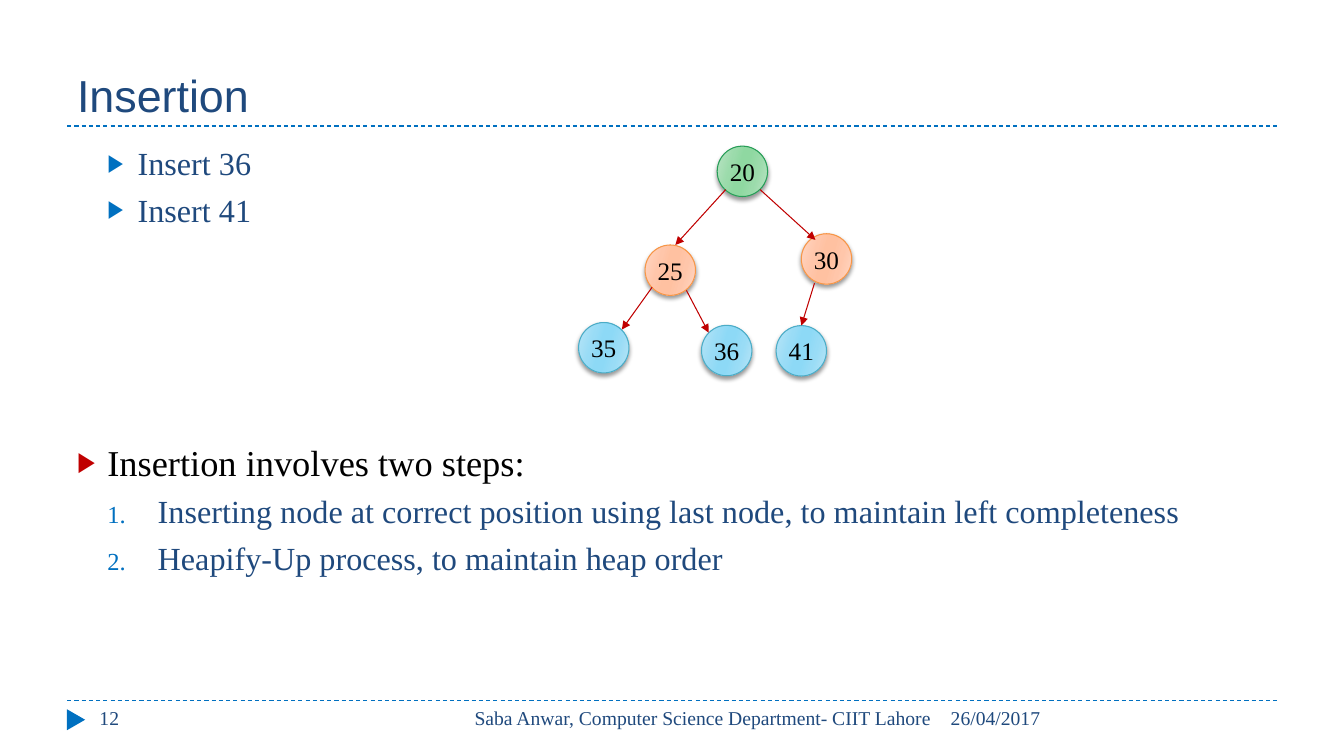
from lxml.etree import SubElement
from pptx import Presentation
from pptx.dml.color import RGBColor
from pptx.enum.dml import MSO_LINE
from pptx.enum.shapes import MSO_CONNECTOR, MSO_SHAPE
from pptx.enum.text import MSO_ANCHOR, PP_ALIGN
from pptx.oxml.ns import qn
from pptx.util import Pt

COLOURS = {"navy": "1F497D", "blue": "0070C0", "red": "C00000", "black": "000000"}
LEVEL_COLOURS = {
    "root": {"edge": "BBE4C5", "mid": "9BDBAB", "core": "8FD8A1", "line": "279D57"},
    "inner": {"edge": "FFD7C5", "mid": "FFC6AA", "core": "FFC1A1", "line": "F79646"},
    "leaf": {"edge": "B9E5F7", "mid": "99DCF6", "core": "8DD9F6", "line": "4BACC6"},
}
GRADIENT_STOPS = [(0, "edge"), (30, "mid"), (45, "core"),
                  (55, "core"), (73, "mid"), (100, "edge")]
SERIF, SANS = "Times New Roman", "Arial"
NODE_SIZE = 36
NODES = [
    ("35", 413.3, 230.4, "leaf"),
    ("30", 572.4, 167, "inner"),
    ("25", 460.8, 175, "inner"),
    ("20", 512.3, 104.4, "root"),
    ("41", 554.4, 232.6, "leaf"),
    ("36", 501.1, 232.4, "leaf"),
]
EDGES = [
    (518.4, 135.4, 482.4, 175),
    (542.9, 135.4, 582.5, 171.4),
    (465.8, 205.2, 444.2, 235.4),
    (581.8, 202.3, 572.4, 232.6),
    (490.3, 207.4, 506.2, 237.6),
]
INSERTS = ["Insert 36", "Insert 41"]
STEPS = [
    "Inserting node at correct position using last node, to maintain left completeness",
    "Heapify-Up process, to maintain heap order",
]


def rgb(name):
    """Return the named colour."""
    return RGBColor.from_string(COLOURS[name])


def style_text(paragraph, size, colour="navy", font=SERIF, align=PP_ALIGN.LEFT):
    """Set the alignment and the run fonts of a paragraph."""
    paragraph.alignment = align
    for run in paragraph.runs:
        run.font.size = Pt(size)
        run.font.name = font
        run.font.color.rgb = rgb(colour)


def add_box(slide, left, top, width, height):
    """Add an empty wrapping text box and return its text frame."""
    frame = slide.shapes.add_textbox(Pt(left), Pt(top), Pt(width), Pt(height)).text_frame
    frame.word_wrap = True
    return frame


def add_label(slide, text, area, size=14, **style):
    """Add a one-line text box."""
    frame = add_box(slide, *area)
    frame.text = text
    style_text(frame.paragraphs[0], size, **style)
    return frame


def set_bullet(paragraph, margin, hanging, colour, numbered=False):
    """Give a paragraph a hanging arrow bullet or an automatic number."""
    properties = paragraph._p.get_or_add_pPr()
    properties.set("marL", str(Pt(margin)))
    properties.set("indent", str(-Pt(hanging)))
    bullet_colour = SubElement(properties, qn("a:buClr"))
    SubElement(bullet_colour, qn("a:srgbClr"), val=COLOURS[colour])
    SubElement(properties, qn("a:buSzPct"), val="76000")
    SubElement(properties, qn("a:buFont"), typeface=SERIF if numbered else SANS)
    if numbered:
        SubElement(properties, qn("a:buAutoNum"), type="arabicPeriod")
    else:
        SubElement(properties, qn("a:buChar"), char="▶")


def add_items(frame, items, margin, hanging, numbered=False):
    """Add second-level list items to a text frame."""
    for item in items:
        first = not frame.text
        paragraph = frame.paragraphs[0] if first else frame.add_paragraph()
        paragraph.text = item
        paragraph.level = 1
        paragraph.space_before = Pt(0 if first else 5.5)
        set_bullet(paragraph, margin, hanging, "blue", numbered)
        style_text(paragraph, 23)


def add_line(slide, ends, colour):
    """Add a thin straight line without a shadow."""
    line = slide.shapes.add_connector(MSO_CONNECTOR.STRAIGHT, *map(Pt, ends))
    line.line.color.rgb = rgb(colour)
    line.line.width = Pt(0.75)
    SubElement(line._element.spPr, qn("a:effectLst"))
    return line


def add_rule(slide, top):
    """Add a dashed rule across the slide."""
    add_line(slide, (48, top, 912, top), "blue").line.dash_style = MSO_LINE.DASH


def add_edge(slide, ends):
    """Add an arrow from a parent node to its child."""
    edge = add_line(slide, ends, "red")
    SubElement(edge.line._get_or_add_ln(), qn("a:tailEnd"), type="triangle")


def set_gradient(shape, palette):
    """Fill a shape with a symmetric gradient of the palette."""
    shape.fill.gradient()
    gradient = shape._element.spPr.find(qn("a:gradFill"))
    stops = gradient.find(qn("a:gsLst"))
    for stop in list(stops):
        stops.remove(stop)
    for position, tone in GRADIENT_STOPS:
        stop = SubElement(stops, qn("a:gs"), pos=str(position * 1000))
        SubElement(stop, qn("a:srgbClr"), val=palette[tone])
    gradient.find(qn("a:lin")).set("ang", str(16 * 60000))


def set_shadow(shape):
    """Give a shape a soft shadow below it."""
    shape.shadow.inherit = False
    effects = shape._element.spPr.find(qn("a:effectLst"))
    shadow = SubElement(effects, qn("a:outerShdw"), blurRad=str(Pt(3)), dist=str(Pt(2)),
                        dir=str(90 * 60000), rotWithShape="0")
    shadow_colour = SubElement(shadow, qn("a:srgbClr"), val=COLOURS["black"])
    SubElement(shadow_colour, qn("a:alpha"), val="40000")


def add_node(slide, key, left, top, level):
    """Add a heap node with its key."""
    palette = LEVEL_COLOURS[level]
    node = slide.shapes.add_shape(MSO_SHAPE.OVAL, Pt(left), Pt(top),
                                  Pt(NODE_SIZE), Pt(NODE_SIZE))
    set_gradient(node, palette)
    node.line.color.rgb = RGBColor.from_string(palette["line"])
    node.line.width = Pt(0.75)
    set_shadow(node)
    frame = node.text_frame
    frame.margin_left = frame.margin_right = 0
    frame.vertical_anchor = MSO_ANCHOR.MIDDLE
    frame.text = key
    style_text(frame.paragraphs[0], 18, "black", align=PP_ALIGN.CENTER)


def add_footer(slide):
    """Add the footer marker, page number, author and date."""
    marker = slide.shapes.add_shape(MSO_SHAPE.ISOSCELES_TRIANGLE,
                                    Pt(46.8), Pt(507.6), Pt(15), Pt(13))
    marker.rotation = 90
    marker.fill.solid()
    marker.fill.fore_color.rgb = rgb("blue")
    marker.line.fill.background()
    marker.shadow.inherit = False
    add_label(slide, "26/04/2017", (672, 500.4, 240, 28.8))
    add_label(slide, "Saba Anwar, Computer Science Department- CIIT Lahore",
              (304.3, 500.4, 368, 28.8), align=PP_ALIGN.RIGHT)
    add_label(slide, "12", (64, 500.4, 208, 28.8))


def add_steps(slide):
    """Add the heading of the steps and the numbered steps."""
    frame = add_box(slide, 48, 311, 864, 120)
    heading = frame.paragraphs[0]
    heading.text = "Insertion involves two steps:"
    set_bullet(heading, 21.6, 21.6, "red")
    style_text(heading, 26, "black")
    add_items(frame, STEPS, 57.6, 36, numbered=True)


def main():
    """Build the slide on heap insertion."""
    deck = Presentation()
    deck.slide_width, deck.slide_height = Pt(960), Pt(540)
    slide = deck.slides.add_slide(deck.slide_layouts[6])
    for top in (500.4, 90):
        add_rule(slide, top)
    title = add_label(slide, "Insertion", (48, 12, 864, 78), 32, font=SANS)
    title.vertical_anchor = MSO_ANCHOR.BOTTOM
    add_items(add_box(slide, 48, 99, 300, 70), INSERTS, 43.2, 21.6)
    add_steps(slide)
    add_footer(slide)
    for node in NODES:
        add_node(slide, *node)
    for ends in EDGES:
        add_edge(slide, ends)
    deck.save("out.pptx")


if __name__ == "__main__":
    main()
